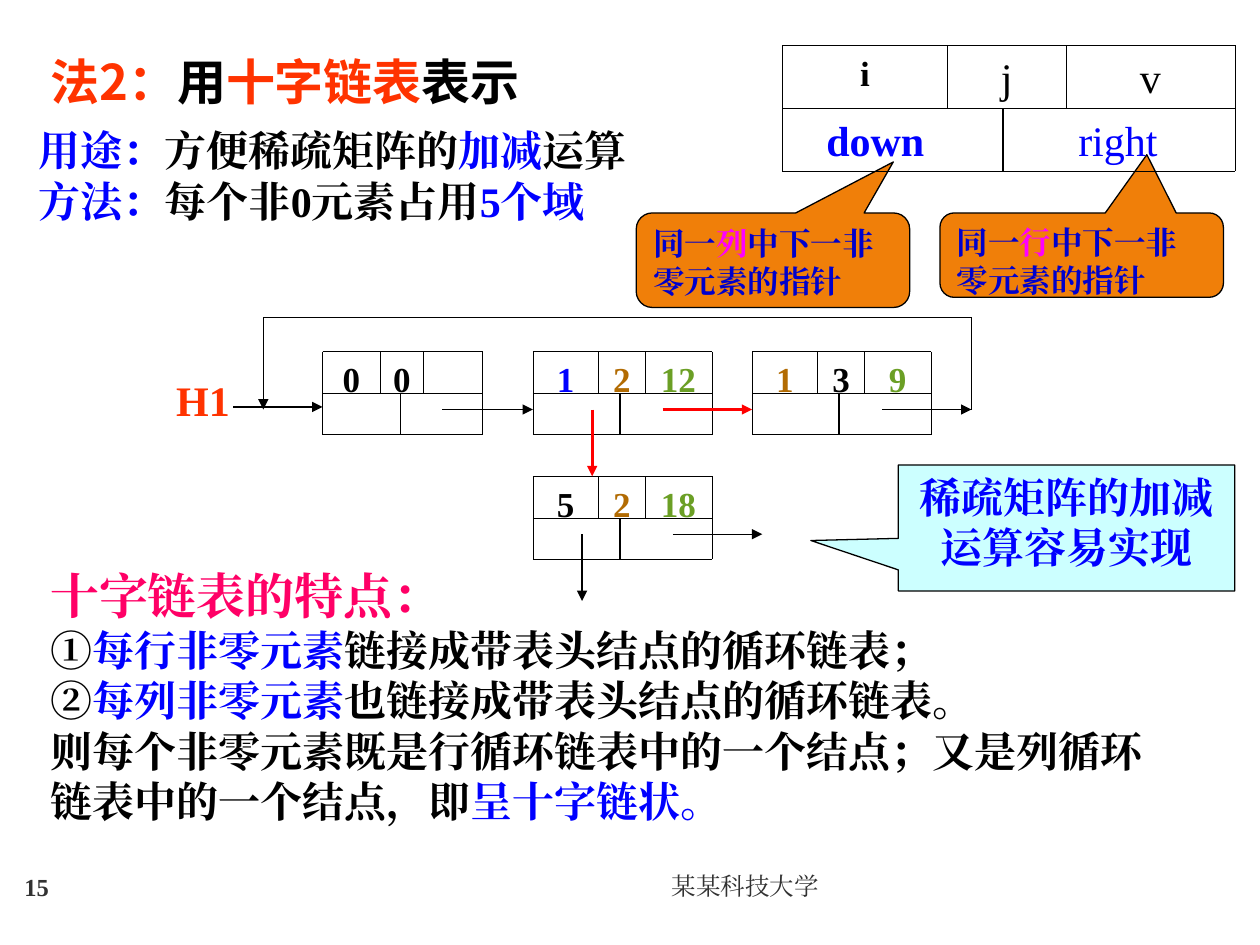
from itertools import accumulate
from pptx import Presentation
from pptx.dml.color import RGBColor
from pptx.enum.shapes import MSO_CONNECTOR, MSO_SHAPE as Shape
from pptx.enum.text import MSO_ANCHOR as Anchor, PP_ALIGN as Align
from pptx.oxml.ns import qn
from pptx.util import Inches, Pt
from lxml.etree import SubElement

SERIF, SANS, CJK = "Times New Roman", "Arial", "Noto Sans CJK SC"
BLACK, BLUE, RED, ORANGE = "000000", "0000FF", "FF0000", "FF3300"
NAVY, MAGENTA, GREEN, BROWN, GREY = "0000CC", "FF00FF", "6B9F25", "B26B02", "323232"

heading = [("法2：", ORANGE, CJK), ("用", BLACK, SANS), ("十字链表", ORANGE, SANS), ("表示", BLACK, SANS)]
usage = [
    [("用途：", BLUE), ("方便稀疏矩阵的", BLACK), ("加减", BLUE), ("运算", BLACK)],
    [("方法：", BLUE), ("每个非0元素占用", BLACK), ("5个域", BLUE)],
]
features = [
    [("十字链表的特点：", "FF0066")],
    [("①", BLACK), ("每行非零元素", BLUE), ("链接成带表头结点的循环链表；", BLACK)],
    [("②", BLACK), ("每列非零元素", BLUE), ("也链接成带表头结点的循环链表。", BLACK)],
    [("则每个非零元素既是行循环链表中的一个结点；又是列循环链表中的一个结点，即", BLACK),
     ("呈十字链状。", BLUE)],
]
pointer_note = "中下一非零元素的指针"
callouts = [
    (Shape.ROUNDED_RECTANGULAR_CALLOUT, (5.05, 1.69, 2.17, 0.75), (0.44, -1.04, 0.17), "F07F09",
     [("同一", NAVY), ("列", MAGENTA), (pointer_note, NAVY)], 18, Align.LEFT),
    (Shape.ROUNDED_RECTANGULAR_CALLOUT, (7.46, 1.69, 2.25, 0.67), (0.23, -1.19, 0.17), "F07F09",
     [("同一", NAVY), ("行", MAGENTA), (pointer_note, NAVY)], 18, Align.LEFT),
    (Shape.RECTANGULAR_CALLOUT, (7.13, 3.69, 2.67, 1), (-0.76, 0.1), "CCFFFF",
     [("稀疏矩阵的加减运算容易实现", BLUE)], 24, Align.CENTER),
]

FIELD_WIDTHS, HEAD_WIDTHS, NODE_WIDTHS = (1.31, 0.94, 1.34), (0.46, 0.34, 0.47), (0.52, 0.37, 0.53)
ROW_TOP, NEXT_ROW_TOP = 2.79, 3.78
records = [
    (6.21, 0.36, FIELD_WIDTHS, 0.5, 1.75,
     [("i", BLACK, 20, True), ("j", BLACK, 24, False), ("v", BLACK, 24, False)]),
    (2.56, ROW_TOP, HEAD_WIDTHS, 0.33, 0.62, [("0", BLACK, 20, True), ("0", BLACK, 20, True)]),
    (4.23, ROW_TOP, NODE_WIDTHS, 0.33, 0.69,
     [("1", BLUE, 20, True), ("2", BROWN, 20, True), ("12", GREEN, 20, True)]),
    (5.97, ROW_TOP, NODE_WIDTHS, 0.33, 0.69,
     [("1", BROWN, 20, True), ("3", BLACK, 20, True), ("9", GREEN, 20, True)]),
    (4.23, NEXT_ROW_TOP, NODE_WIDTHS, 0.33, 0.69,
     [("5", BLACK, 20, True), ("2", BROWN, 20, True), ("18", GREEN, 20, True)]),
]
links = [
    (1.85, 3.23, 2.56, 3.23, BLACK, True),
    (3.51, 3.25, 4.23, 3.25, BLACK, True),
    (5.26, 3.25, 5.97, 3.25, RED, True),
    (7.0, 3.25, 7.71, 3.25, BLACK, True),
    (7.71, 3.25, 7.71, 2.52, BLACK, False),
    (7.71, 2.52, 2.09, 2.52, BLACK, False),
    (2.09, 2.52, 2.09, 3.25, BLACK, True),
    (4.7, 3.25, 4.7, 3.78, RED, True),
    (4.62, 4.24, 4.62, 4.77, BLACK, True),
    (5.34, 4.24, 6.05, 4.24, BLACK, True),
]

prs = Presentation()
prs.slide_width, prs.slide_height = Inches(10), Inches(7.5)
slide = prs.slides.add_slide(prs.slide_layouts[5])
shapes = slide.shapes


def rgb(value):
    return RGBColor.from_string(value)


def write(frame, lines, size, bold=True, align=Align.LEFT, anchor=Anchor.TOP, wrap=True):
    frame.word_wrap, frame.vertical_anchor = wrap, anchor
    for index, pieces in enumerate(lines):
        para = frame.add_paragraph() if index else frame.paragraphs[0]
        para.alignment = align
        para.font.size, para.font.bold = Pt(size), bold
        for words, color, *face in pieces:
            run = para.add_run()
            run.text = words
            run.font.color.rgb = rgb(color)
            run.font.name = face[0] if face else SERIF
            SubElement(run.font._element, qn("a:ea"), typeface=run.font.name)
    return frame


def text(left, top, width, height, lines, size, **style):
    box = shapes.add_textbox(Inches(left), Inches(top), Inches(width), Inches(height))
    return write(box.text_frame, lines, size, **style)


def line(x1, y1, x2, y2, color=BLACK, weight=0.25, arrow=False):
    link = shapes.add_connector(MSO_CONNECTOR.STRAIGHT, Inches(x1), Inches(y1), Inches(x2), Inches(y2))
    link.line.color.rgb, link.line.width = rgb(color), Pt(weight)
    if arrow:
        SubElement(link.line._get_or_add_ln(), qn("a:tailEnd"), type="triangle")
    SubElement(link._element.spPr, qn("a:effectLst"))


def record(left, top, widths, row, split, cells):
    edges = list(accumulate(widths, initial=left))
    right, middle, bottom = edges[-1], top + row, top + 2 * row
    for x, width, (value, color, size, bold) in zip(edges, widths, cells):
        text(x, top, width, row, [[(value, color)]], size, bold=bold, align=Align.CENTER)
    for y in (top, middle, bottom):
        line(left, y, right, y)
    for x in (left, right):
        line(x, top, x, bottom)
    for x in edges[1:-1]:
        line(x, top, x, middle)
    line(left + split, middle, left + split, bottom, weight=0.75)


title = shapes.title
title.left, title.top, title.width, title.height = map(Inches, (0.3, 0.36, 4.5, 0.67))
write(title.text_frame, [heading], 28)

text(0.67, 6.83, 5.93, 0.4, [[("某某科技大学", GREY)]], 14, bold=False, align=Align.RIGHT, anchor=Anchor.MIDDLE)
text(0, 6.83, 0.58, 0.42, [[("15", GREY)]], 14, align=Align.CENTER, anchor=Anchor.MIDDLE)
text(0.21, 0.94, 5.25, 0.9, usage, 24)
text(6.46, 0.86, 2, 0.5, [[("down", BLUE)]], 24)
text(8.46, 0.86, 1.33, 0.5, [[("right", BLUE)]], 24, bold=False)
text(1.3, 2.92, 0.63, 0.5, [[("H1", ORANGE)]], 24, wrap=False)

for kind, place, adjustments, fill, pieces, size, align in callouts:
    callout = shapes.add_shape(kind, *map(Inches, place))
    for index, value in enumerate(adjustments):
        callout.adjustments[index] = value
    callout.shadow.inherit = False
    callout.fill.solid()
    callout.fill.fore_color.rgb = rgb(fill)
    callout.line.color.rgb, callout.line.width = rgb(BLACK), Pt(0.75)
    write(callout.text_frame, [pieces], size, align=align)

feature_text = text(0.3, 4.44, 9, 2.16, features, 24)
feature_text.paragraphs[0].font.size = Pt(28)

for parts in records:
    record(*parts)
for x1, y1, x2, y2, color, arrow in links:
    line(x1, y1, x2, y2, color, 1.75 if color == RED else 0.75, arrow)

prs.save("out.pptx")
